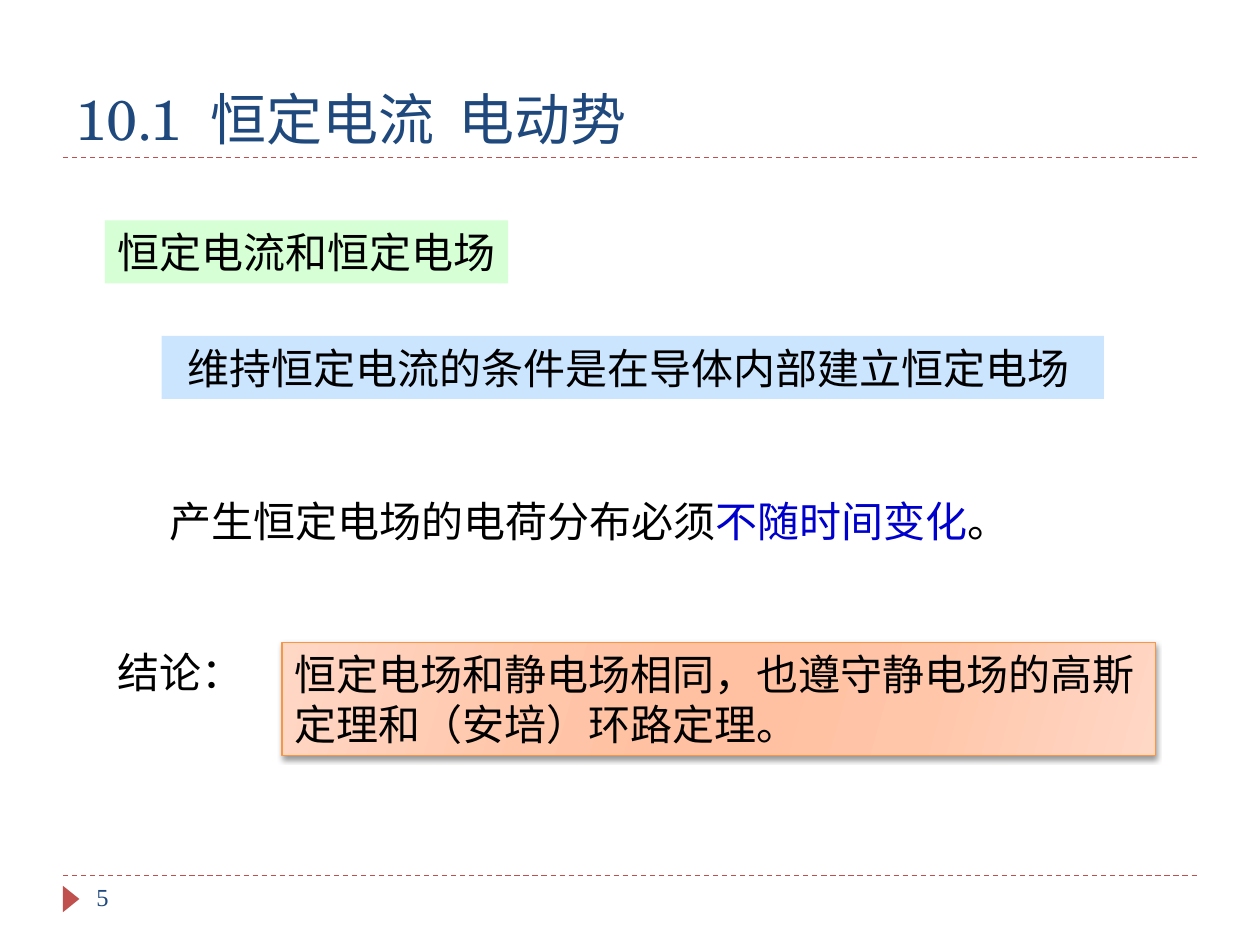
"""Build the slide on steady current and the steady electric field."""
from dataclasses import dataclass
from typing import Optional

from lxml import etree
from pptx import Presentation
from pptx.dml.color import RGBColor
from pptx.enum.dml import MSO_LINE
from pptx.enum.shapes import MSO_CONNECTOR, MSO_SHAPE
from pptx.enum.text import MSO_ANCHOR, PP_ALIGN
from pptx.oxml.ns import qn
from pptx.util import Pt

DASH = MSO_LINE.DASH
STRAIGHT = MSO_CONNECTOR.STRAIGHT
RECTANGLE, TRIANGLE = MSO_SHAPE.RECTANGLE, MSO_SHAPE.ISOSCELES_TRIANGLE
TOP, MIDDLE, BOTTOM = MSO_ANCHOR.TOP, MSO_ANCHOR.MIDDLE, MSO_ANCHOR.BOTTOM
LEFT, CENTER = PP_ALIGN.LEFT, PP_ALIGN.CENTER


@dataclass(frozen=True)
class Theme:
    """Colours, fonts and type sizes of the slide."""

    ink: str = "000000"
    heading: str = "1F497D"
    accent: str = "C0504D"
    emphasis: str = "0000CC"
    topic: str = "CCFFCC"
    condition: str = "99CCFF"
    conclusion_edge: str = "F79646"
    conclusion_stops: tuple = (
        (0, "FFD7C5"), (30, "FFC6AA"), (45, "FFC1A1"),
        (55, "FFC1A1"), (73, "FFC6AA"), (100, "FFD7C5"),
    )
    title_font: str = "TeX Gyre Schola"
    serif: str = "Times New Roman"
    sans: str = "Arial"
    chinese: str = "Noto Sans CJK SC"
    title_size: float = 32
    body_size: float = 24
    number_size: float = 14
    rule_width: float = 0.75


THEME = Theme()


@dataclass(frozen=True)
class Label:
    """A block of text, optionally on a tinted rectangle."""

    runs: tuple
    box: tuple
    font: str = THEME.serif
    size: float = THEME.body_size
    color: str = THEME.ink
    align: PP_ALIGN = LEFT
    anchor: MSO_ANCHOR = TOP
    wrap: bool = True
    tabs: tuple = ()
    fill: Optional[str] = None
    opacity: int = 100


RULE_LEFT, RULE_RIGHT = 36, 684
RULE_TOPS = (500.4, 90)
LABELS = (
    Label((("10.1\t恒定电流\t电动势", None),), (36, 18, 648, 72), THEME.title_font,
          THEME.title_size, THEME.heading, anchor=BOTTOM, tabs=(77, 219)),
    Label((("5", None),), (48, 500.4, 156, 29), size=THEME.number_size,
          color=THEME.heading),
    Label((("恒定电流和恒定电场", None),), (60, 126, 230.4, 36), THEME.sans,
          align=CENTER, anchor=MIDDLE, wrap=False, fill=THEME.topic, opacity=80),
    Label((("维持恒定电流的条件是在导体内部建立恒定电场 ", None),),
          (92.4, 192, 538.4, 36), THEME.chinese, align=CENTER,
          fill=THEME.condition, opacity=50),
    Label((("结论：", None),), (60, 366, 102, 36)),
    Label((("产生恒定电场的电荷分布必须", None), ("不随时间变化", THEME.emphasis),
           ("。", None)), (90, 279.4, 534, 36)),
)
CONCLUSION = Label((("恒定电场和静电场相同，也遵守静电场的高斯定理和（安培）环路定理。", None),),
                   (161.2, 367, 499, 64.8), fill=THEME.conclusion_stops[0][1])


def rgb(color: str) -> RGBColor:
    """Turn a hex string into a colour."""
    return RGBColor.from_string(color)


def add_node(parent, tag: str, **attributes):
    """Append a drawing element to its parent."""
    values = {name: str(value) for name, value in attributes.items()}
    return etree.SubElement(parent, qn(tag), values)


def add_color(parent, color: str, opacity: int = 100) -> None:
    """Append a colour element with the given opacity in percent."""
    node = add_node(parent, "a:srgbClr", val=color)
    if opacity < 100:
        add_node(node, "a:alpha", val=opacity * 1000)


def draw_rule(slide, top: float) -> None:
    """Draw a dashed rule across the slide."""
    rule = slide.shapes.add_connector(
        STRAIGHT, Pt(RULE_LEFT), Pt(top), Pt(RULE_RIGHT), Pt(top))
    rule.line.color.rgb = rgb(THEME.accent)
    rule.line.width = Pt(THEME.rule_width)
    rule.line.dash_style = DASH
    add_node(rule.element.spPr, "a:effectLst")


def draw_marker(slide) -> None:
    """Draw the triangle beside the slide number."""
    marker = slide.shapes.add_shape(TRIANGLE, Pt(33.1), Pt(509), Pt(15.1), Pt(9.4))
    marker.rotation = 90
    marker.shadow.inherit = False
    marker.fill.solid()
    marker.fill.fore_color.rgb = rgb(THEME.accent)
    marker.line.fill.background()


def write_text(shape, label: Label) -> None:
    """Write and format the label's paragraph."""
    frame = shape.text_frame
    frame.word_wrap = label.wrap
    frame.vertical_anchor = label.anchor
    paragraph = frame.paragraphs[0]
    paragraph.alignment = label.align
    if label.tabs:
        tab_list = add_node(paragraph._p.get_or_add_pPr(), "a:tabLst")
        for position in label.tabs:
            add_node(tab_list, "a:tab", pos=Pt(position), algn="l")
    font = paragraph.font
    font.size = Pt(label.size)
    font.color.rgb = rgb(label.color)
    font.name = label.font
    add_node(font._element, "a:ea", typeface=THEME.chinese)
    for text, color in label.runs:
        run = paragraph.add_run()
        run.text = text
        if color:
            run.font.color.rgb = rgb(color)


def draw_label(slide, label: Label):
    """Draw a label and return its shape."""
    box = [Pt(length) for length in label.box]
    if label.fill:
        shape = slide.shapes.add_shape(RECTANGLE, *box)
        shape.shadow.inherit = False
        shape.fill.solid()
        shape.fill.fore_color.rgb = rgb(label.fill)
        shape.line.fill.background()
        if label.opacity < 100:
            color = shape.element.spPr.find(qn("a:solidFill"))[0]
            add_node(color, "a:alpha", val=label.opacity * 1000)
    else:
        shape = slide.shapes.add_textbox(*box)
    write_text(shape, label)
    return shape


def draw_conclusion(slide) -> None:
    """Draw the conclusion with its gradient, edge and shadow."""
    shape = draw_label(slide, CONCLUSION)
    shape.line.color.rgb = rgb(THEME.conclusion_edge)
    shape.line.width = Pt(THEME.rule_width)
    shape.fill.gradient()
    properties = shape.element.spPr
    gradient = properties.find(qn("a:gradFill"))
    stops = gradient.find(qn("a:gsLst"))
    for stop in list(stops):
        stops.remove(stop)
    for position, color in THEME.conclusion_stops:
        add_color(add_node(stops, "a:gs", pos=position * 1000), color)
    gradient.find(qn("a:lin")).set("ang", str(16 * 60000))
    shadow = add_node(properties.find(qn("a:effectLst")), "a:outerShdw",
                      blurRad=Pt(3), dist=Pt(2), dir=90 * 60000, rotWithShape=0)
    add_color(shadow, THEME.ink, 40)


def main() -> None:
    """Build and save the presentation."""
    presentation = Presentation()
    presentation.slide_width, presentation.slide_height = Pt(720), Pt(540)
    slide = presentation.slides.add_slide(presentation.slide_layouts[6])
    for top in RULE_TOPS:
        draw_rule(slide, top)
    draw_marker(slide)
    for label in LABELS:
        draw_label(slide, label)
    draw_conclusion(slide)
    presentation.save("out.pptx")


if __name__ == "__main__":
    main()
